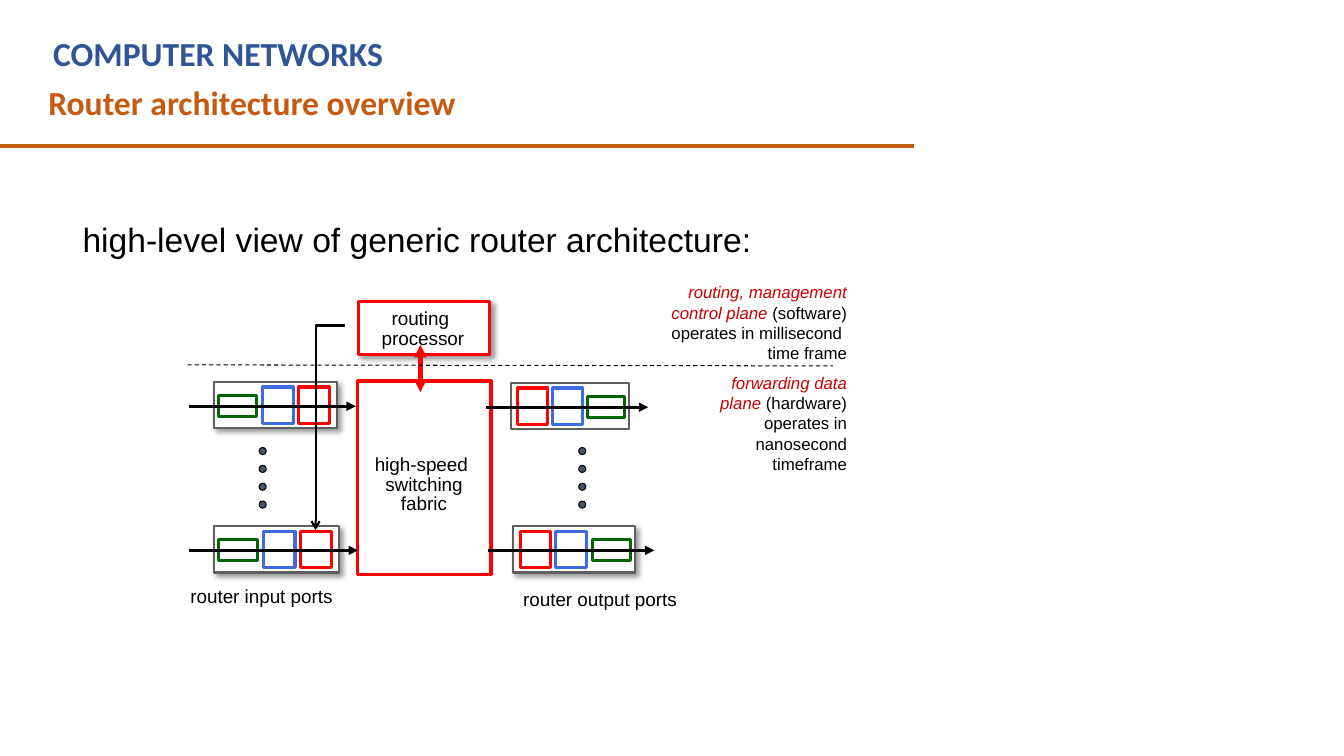
from lxml import etree
from pptx import Presentation
from pptx.dml.color import RGBColor
from pptx.enum.dml import MSO_LINE as Dash
from pptx.enum.shapes import MSO_CONNECTOR as Link, MSO_SHAPE as Kind
from pptx.enum.text import MSO_ANCHOR as Anchor, MSO_AUTO_SIZE as Fit, PP_ALIGN as Align
from pptx.oxml.ns import qn
from pptx.util import Inches, Pt

BLACK, WHITE, RED, GREEN, BLUE = "000000", "FFFFFF", "FF0000", "006600", "3C6CDF"
GRAY, SLATE, RUST, NAVY, CRIMSON = "5F5F5F", "44546A", "C55A11", "2F5597", "CC0000"


def rgb(code):
    return RGBColor.from_string(code)


def add(parent, tag, **attrs):
    return etree.SubElement(parent, qn(tag), attrs)


def style(font, size, color, name="Arial", bold=False):
    font.size, font.name, font.bold = Pt(size), name, bold
    font.color.rgb = rgb(color)


def cast(shape):
    """Give a shape a soft shadow towards the lower right."""
    glow = add(shape._element.spPr, "a:effectLst")
    outer = add(glow, "a:outerShdw", blurRad=str(Pt(4)), dist=str(Pt(3)),
                dir="2700000", algn="tl", rotWithShape="0")
    tint = add(outer, "a:srgbClr", val=BLACK)
    add(tint, "a:alpha", val="40000")


def block(shapes, x, y, w, h, line, width=2.25, fill=WHITE, kind=Kind.RECTANGLE, shade=False):
    shape = shapes.add_shape(kind, Inches(x), Inches(y), Inches(w), Inches(h))
    shape.fill.solid()
    shape.fill.fore_color.rgb = rgb(fill)
    shape.line.color.rgb = rgb(line)
    shape.line.width = Pt(width)
    if shade:
        cast(shape)
    else:
        shape.shadow.inherit = False
    return shape


def rule(shapes, x1, y1, x2, y2, color, width, head=None, tail=None, kind=Link.STRAIGHT):
    line = shapes.add_connector(kind, Inches(x1), Inches(y1), Inches(x2), Inches(y2))
    line.line.color.rgb = rgb(color)
    line.line.width = Pt(width)
    pen = line.line._get_or_add_ln()
    for tag, tip in (("a:headEnd", head), ("a:tailEnd", tail)):
        if tip:
            add(pen, tag, type=tip)
    add(line._element.spPr, "a:effectLst")
    return line


def label(shapes, x, y, w, h, lines, size, color=BLACK, wrap=False, align=Align.LEFT,
          lead=None, name="Arial", bold=False):
    """Each line is a string, or a list of (text, color, italic) parts."""
    frame = shapes.add_textbox(Inches(x), Inches(y), Inches(w), Inches(h)).text_frame
    frame.word_wrap = wrap
    frame.auto_size = Fit.SHAPE_TO_FIT_TEXT
    for i, line in enumerate(lines):
        para = frame.add_paragraph() if i else frame.paragraphs[0]
        para.alignment, para.line_spacing = align, lead
        style(para.font, size, color, name, bold)
        if isinstance(line, str):
            para.add_run().text = line
            continue
        for text, tint, slant in line:
            run = para.add_run()
            run.text = text
            run.font.color.rgb = rgb(tint)
            run.font.italic = slant


def header(slide, x, y):
    shapes = slide.shapes
    rule(shapes, 0, y + 1.17, 9.07, y + 1.17, RUST, 3)
    label(shapes, x + 0.05, y, 8.2, 0.5, ["COMPUTER NETWORKS"], 24, NAVY,
          wrap=True, name="Calibri", bold=True)
    title = shapes.title
    title.left, title.top = Inches(x), Inches(y + 0.48)
    title.width, title.height = Inches(4.28), Inches(0.5)
    frame = title.text_frame
    frame.text = "Router architecture overview"
    frame.word_wrap, frame.vertical_anchor = False, Anchor.TOP
    frame.auto_size = Fit.SHAPE_TO_FIT_TEXT
    para = frame.paragraphs[0]
    para.alignment, para.line_spacing = Align.LEFT, 1.0
    style(para.font, 24, RUST, "Calibri", True)


def fabric(slide, x, y, w, h):
    shapes = slide.shapes.add_group_shape().shapes
    block(shapes, x, y, w, h, RED)
    label(shapes, x + 0.06, y + 0.7, 1.19, 0.68, ["high-speed ", "switching", "fabric"],
          13.5, align=Align.CENTER, lead=0.85)


def brain(slide, x, y, w, h):
    """Routing processor and its link to the fabric."""
    shapes = slide.shapes.add_group_shape().shapes
    block(shapes, x, y, w, h, RED, shade=True)
    label(shapes, x + 0.12, y + 0.04, 1.03, 0.49, ["routing ", "processor"],
          13.5, align=Align.CENTER, lead=0.85)
    mid = x + w / 2 - 0.04
    rule(shapes, mid, y + 0.43, mid, y + 0.9, RED, 3, "triangle", "triangle")


def port(slide, x, y, w, out=False, shade=True):
    """One port: three stages in a frame, in reverse order for output."""
    shapes = slide.shapes.add_group_shape().shapes
    block(shapes, x, y, w, 0.46, GRAY, 1.5, shade=shade)
    scale = w / 1.23
    stages = ((0.05, 0.13, 0.38, 0.21, GREEN), (0.49, 0.05, 0.31, 0.36, BLUE),
              (0.85, 0.05, 0.31, 0.36, RED))
    for dx, dy, wide, high, color in stages:
        dx, wide = dx * scale, wide * scale
        left = w - dx - wide if out else dx
        block(shapes, x + left, y + dy, wide, high, color)
    rule(shapes, x - 0.25, y + 0.24, x + w + 0.19, y + 0.24, BLACK, 2.25, tail="triangle")


def dots(slide, x, y):
    shapes = slide.shapes.add_group_shape().shapes
    for i in range(4):
        block(shapes, x, y + i * 0.177, 0.07, 0.07, BLACK, 0.75, SLATE, Kind.OVAL)


def planes(slide, x, y, w):
    """Control plane above the dashed line, data plane below."""
    shapes = slide.shapes
    split = rule(shapes, 1.86, y + 0.87, 8.26, y + 0.88, BLACK, 0.75)
    split.line.dash_style = Dash.DASH
    label(shapes, x + w - 1.79, y + 0.9, 1.79, 1.11,
          [[("forwarding data plane ", CRIMSON, True),
            ("(hardware) operates in nanosecond timeframe", BLACK, False)]],
          12, wrap=True, align=Align.RIGHT)
    label(shapes, x, y, w, 0.91,
          [[("routing, management", CRIMSON, True)],
           [("control plane ", CRIMSON, True), ("(software)", BLACK, False)],
           "operates in millisecond ", "time frame"],
          12, wrap=True, align=Align.RIGHT)


def route(slide, x, y, w, h):
    """Elbow arrow that runs left, then down: a flat elbow turned by 90 degrees."""
    left, top = x + (w - h) / 2, y + (h - w) / 2
    line = rule(slide.shapes, left, top, left + h, top + w, BLACK, 1.5,
                tail="arrow", kind=Link.ELBOW)
    props = line._element.spPr
    props.find(qn("a:xfrm")).set("rot", "5400000")
    add(props.find(qn("a:prstGeom")).find(qn("a:avLst")), "a:gd", name="adj1", fmla="val 0")


def main():
    deck = Presentation()
    deck.slide_width, deck.slide_height = Inches(13.33), Inches(7.5)
    slide = deck.slides.add_slide(deck.slide_layouts[5])
    header(slide, 0.38, 0.28)
    label(slide.shapes, 0.72, 2.12, 8.85, 0.5,
          ["high-level view of generic router architecture:"], 24, wrap=True)
    # Core of the router
    fabric(slide, 3.55, 3.78, 1.32, 1.92)
    brain(slide, 3.56, 2.99, 1.3, 0.53)
    # Input side
    port(slide, 2.12, 3.79, 1.22)
    port(slide, 2.12, 5.22, 1.24)
    dots(slide, 2.57, 4.44)
    label(slide.shapes, 1.79, 5.75, 1.63, 0.33, ["router input ports"], 13.5)
    # Output side
    port(slide, 5.07, 3.8, 1.17, out=True, shade=False)
    port(slide, 5.09, 5.22, 1.21, out=True)
    dots(slide, 5.74, 4.44)
    label(slide.shapes, 5.09, 5.78, 1.75, 0.33, ["router output ports"], 13.5)
    # Notes on the planes and the control path
    planes(slide, 6.14, 2.75, 2.36)
    route(slide, 3.13, 3.23, 0.29, 2.03)
    deck.save("out.pptx")


if __name__ == "__main__":
    main()
